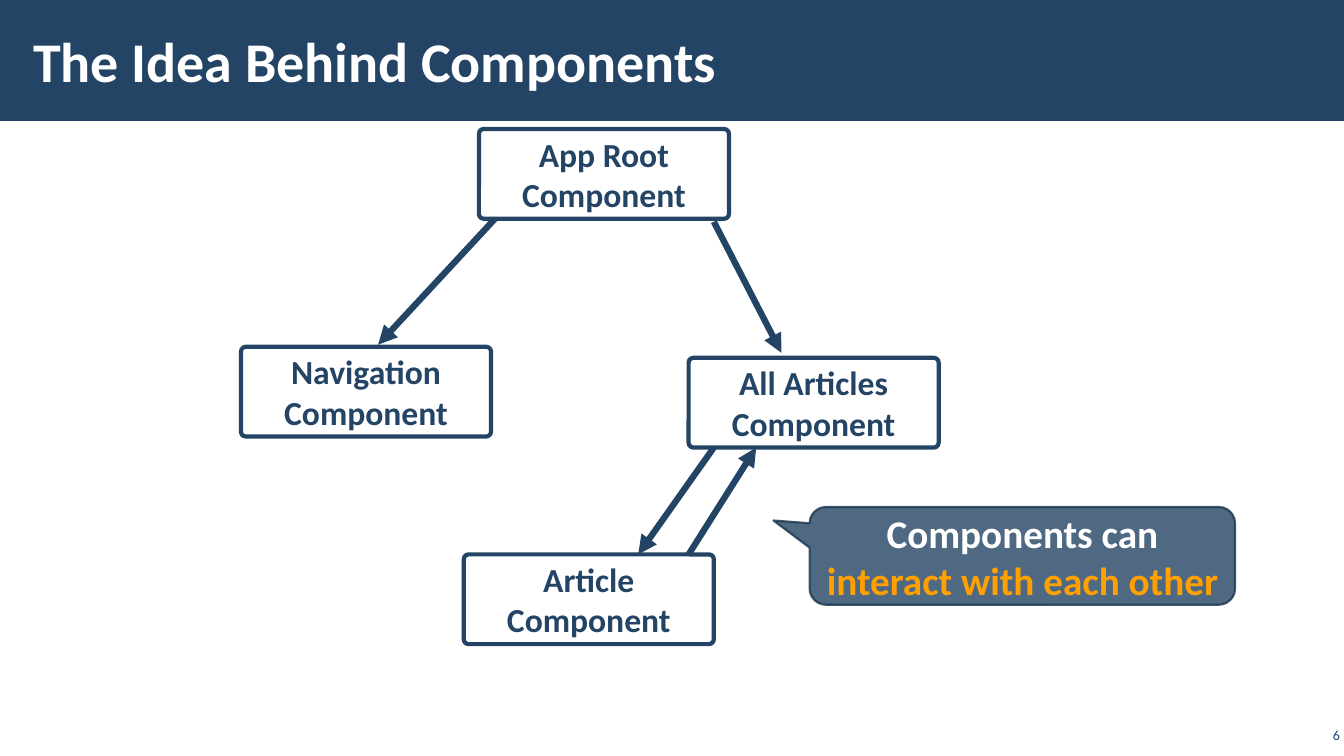
from dataclasses import dataclass

from lxml import etree
from pptx import Presentation
from pptx.dml.color import RGBColor
from pptx.enum.shapes import MSO_CONNECTOR, MSO_SHAPE
from pptx.enum.text import MSO_ANCHOR, PP_ALIGN
from pptx.oxml.ns import qn
from pptx.util import Inches, Pt

STRAIGHT = MSO_CONNECTOR.STRAIGHT
RECTANGLE = MSO_SHAPE.RECTANGLE
ROUNDED = MSO_SHAPE.ROUNDED_RECTANGLE
CALLOUT = MSO_SHAPE.ROUNDED_RECTANGULAR_CALLOUT
MIDDLE = MSO_ANCHOR.MIDDLE
LEFT, CENTER, RIGHT = PP_ALIGN.LEFT, PP_ALIGN.CENTER, PP_ALIGN.RIGHT

FONT = "Calibri"
COLORS = {
    "navy": "234465",
    "dark_navy": "1A334C",
    "white": "FFFFFF",
    "orange": "FFA000",
}
BOX_WIDTH, BOX_HEIGHT = 2.48, 0.89


@dataclass(frozen=True)
class ComponentBox:
    label: str
    left: float
    top: float


@dataclass(frozen=True)
class Arrow:
    start: tuple[float, float]
    end: tuple[float, float]


@dataclass(frozen=True)
class TextRun:
    text: str
    size: float
    color: str
    bold: bool = True


COMPONENTS = [
    ComponentBox("App Root Component", 4.75, 1.28),
    ComponentBox("Navigation Component", 2.39, 3.44),
    ComponentBox("All Articles Component", 6.83, 3.55),
    ComponentBox("Article Component", 4.6, 5.5),
]
ARROWS = [
    Arrow((4.91, 2.17), (3.75, 3.42)),
    Arrow((7.08, 2.2), (7.75, 3.5)),
    Arrow((7.08, 4.44), (6.33, 5.5)),
    Arrow((6.83, 5.5), (7.5, 4.44)),
]


def rgb(name: str) -> RGBColor:
    return RGBColor.from_string(COLORS[name])


def set_opacity(shape, percent: int, tag: str = "a:solidFill") -> None:
    """Make the fill, or with tag "a:ln" the outline, partly transparent."""
    color = shape._element.spPr.find(qn(tag)).find(".//" + qn("a:srgbClr"))
    etree.SubElement(color, qn("a:alpha"), val=str(percent * 1000))


def write_text(shape, runs: list[TextRun], alignment, margins=(0.1, 0.05)) -> None:
    """Write one paragraph; margins are horizontal and vertical inches."""
    frame = shape.text_frame
    frame.word_wrap = True
    frame.vertical_anchor = MIDDLE
    frame.margin_left = frame.margin_right = Inches(margins[0])
    frame.margin_top = frame.margin_bottom = Inches(margins[1])
    paragraph = frame.paragraphs[0]
    paragraph.alignment = alignment
    for item in runs:
        run = paragraph.add_run()
        run.text = item.text
        run.font.name = FONT
        run.font.size = Pt(item.size)
        run.font.bold = item.bold
        run.font.color.rgb = rgb(item.color)


def add_filled_shape(slide, kind, bounds: tuple, fill: str, line: str = "", line_width: float = 0):
    shape = slide.shapes.add_shape(kind, *map(Inches, bounds))
    shape.shadow.inherit = False
    shape.fill.solid()
    shape.fill.fore_color.rgb = rgb(fill)
    if line:
        shape.line.color.rgb = rgb(line)
        shape.line.width = Pt(line_width)
    else:
        shape.line.fill.background()
    return shape


def add_text_box(slide, bounds: tuple, run: TextRun, alignment, margins: tuple) -> None:
    box = slide.shapes.add_textbox(*map(Inches, bounds))
    write_text(box, [run], alignment, margins)


def add_component(slide, component: ComponentBox) -> None:
    bounds = (component.left, component.top, BOX_WIDTH, BOX_HEIGHT)
    box = add_filled_shape(slide, ROUNDED, bounds, "white", "navy", 3)
    box.adjustments[0] = 0.053
    set_opacity(box, 25)
    write_text(box, [TextRun(component.label, 24, "navy")], CENTER)


def add_arrow(slide, arrow: Arrow) -> None:
    connector = slide.shapes.add_connector(
        STRAIGHT, *map(Inches, arrow.start + arrow.end)
    )
    connector.line.color.rgb = rgb("navy")
    connector.line.width = Pt(4.5)
    properties = connector._element.spPr
    etree.SubElement(properties.find(qn("a:ln")), qn("a:tailEnd"), type="triangle")
    etree.SubElement(properties, qn("a:effectLst"))


def add_callout(slide) -> None:
    callout = add_filled_shape(
        slide, CALLOUT, (8.03, 5.03, 4.22, 0.97), "navy", "dark_navy", 1.5
    )
    for index, value in enumerate((-0.585, -0.362, 0.167)):
        callout.adjustments[index] = value
    set_opacity(callout, 80)
    set_opacity(callout, 80, "a:ln")
    runs = [
        TextRun("Components can ", 28, "white"),
        TextRun("interact with each other", 28, "orange"),
    ]
    write_text(callout, runs, CENTER)


def main() -> None:
    presentation = Presentation()
    presentation.slide_width = Inches(13.33)
    presentation.slide_height = Inches(7.5)
    slide = presentation.slides.add_slide(presentation.slide_layouts[6])

    add_filled_shape(slide, RECTANGLE, (0, 0, 13.33, 1.2), "navy")
    title = TextRun("The Idea Behind Components", 40, "white")
    add_text_box(slide, (0.21, 0.11, 10.39, 0.97), title, LEFT, (0.12, 0.04))
    page_number = TextRun("6", 10, "navy", bold=False)
    add_text_box(slide, (12.83, 7.17, 0.5, 0.25), page_number, RIGHT, (0.04, 0.04))

    for component in COMPONENTS:
        add_component(slide, component)
    for arrow in ARROWS:
        add_arrow(slide, arrow)
    add_callout(slide)

    presentation.save("out.pptx")


if __name__ == "__main__":
    main()
